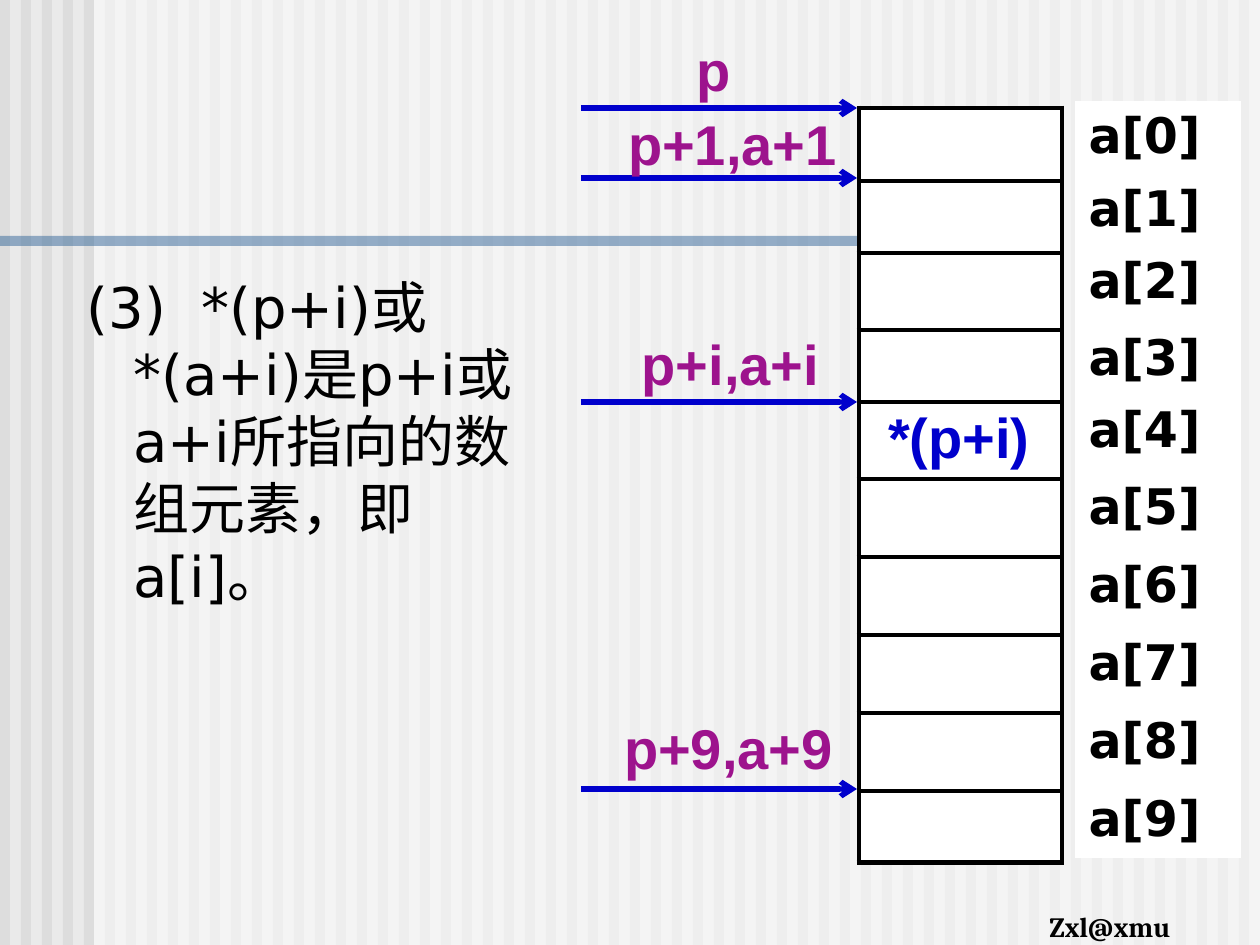
from dataclasses import dataclass
from itertools import accumulate

from lxml import etree
from pptx import Presentation
from pptx import util as u
from pptx.dml import color
from pptx.enum import shapes, text
from pptx.oxml import ns

PX = 914400 / 126  # EMU per px
WIDTH, HEIGHT = 1260, 945


@dataclass(frozen=True)
class Theme:
    paper: str = "EAEAEA"
    stripe: str = "DDDDDD"
    white: str = "FFFFFF"
    band: str = "336699"
    ink: str = "000000"
    pointer: str = "9D138D"
    accent: str = "0000CC"
    body_font: str = "DejaVu Sans"
    label_font: str = "Arial"
    footer_font: str = "Cambria"
    body_size: int = 32
    cell_size: int = 28
    footer_size: int = 16
    line: int = 3


THEME = Theme()
ROW_HEIGHTS = [73, 72, 77, 72, 77, 78, 78, 78, 78, 72]
ARRAY_TOP = 108


def px(*lengths):
    return [u.Emu(round(length * PX)) for length in lengths]


def rgb(code):
    return color.RGBColor.from_string(code)


def child(parent, tag, **attributes):
    return etree.SubElement(parent, ns.qn(tag), **attributes)


def write(frame, wording, *, font=THEME.label_font, size=THEME.body_size,
          ink=THEME.ink, bold=True, align=text.PP_ALIGN.LEFT):
    """Fill the first paragraph of a text frame with one formatted run."""
    para = frame.paragraphs[0]
    para.alignment = align
    span = para.add_run()
    span.text = wording
    span.font.name, span.font.size, span.font.bold = font, u.Pt(size), bold
    span.font.color.rgb = rgb(ink)
    child(span.font._element, "a:ea", typeface=font)
    return para


def add_block(page, place, fill, opacity=100):
    block = page.shapes.add_shape(shapes.MSO_SHAPE.RECTANGLE, *px(*place))
    block.shadow.inherit = False
    block.line.fill.background()
    block.fill.solid()
    block.fill.fore_color.rgb = rgb(fill)
    if opacity < 100:
        tint = block._element.spPr.find(".//" + ns.qn("a:srgbClr"))
        child(tint, "a:alpha", val=str(opacity * 1000))


def add_label(page, place, wording, wrap=True, **style):
    box = page.shapes.add_textbox(*px(*place))
    box.text_frame.word_wrap = wrap
    write(box.text_frame, wording, **style)


def add_arrow(page, left, right, y):
    arrow = page.shapes.add_connector(
        shapes.MSO_CONNECTOR.STRAIGHT, *px(left, y, right, y))
    arrow.line.width = u.Pt(THEME.line)
    arrow.line.color.rgb = rgb(THEME.accent)
    child(arrow.line._get_or_add_ln(), "a:tailEnd", type="arrow")
    child(arrow._element.spPr, "a:effectLst")


def add_borders(cell):
    properties = cell._tc.get_or_add_tcPr()
    for side in "LRTB":
        edge = child(properties, f"a:ln{side}", w=str(u.Pt(THEME.line)))
        child(child(edge, "a:solidFill"), "a:srgbClr", val=THEME.ink)


def add_column(page, left, top, width, wordings=None, bordered=False):
    """Add a one-column table with the shared row heights."""
    place = px(left, top, width, sum(ROW_HEIGHTS))
    table = page.shapes.add_table(len(ROW_HEIGHTS), 1, *place).table
    table.first_row = table.horz_banding = False
    for index, height in enumerate(ROW_HEIGHTS):
        table.rows[index].height = px(height)[0]
        cell = table.cell(index, 0)
        if bordered:
            add_borders(cell)
        cell.fill.solid()
        cell.fill.fore_color.rgb = rgb(THEME.white)
        if wordings:
            write(cell.text_frame, wordings[index],
                  font=THEME.body_font, size=THEME.cell_size)


def fill_body(page, place, wording):
    box = page.placeholders[1]
    box.left, box.top, box.width, box.height = px(*place)
    frame = box.text_frame
    frame.auto_size = text.MSO_AUTO_SIZE.NONE
    properties = frame.paragraphs[0]._p.get_or_add_pPr()
    indent = px(47)[0]
    properties.set("marL", str(indent))
    properties.set("indent", str(-indent))
    child(properties, "a:buNone")
    para = write(frame, wording, font=THEME.body_font, bold=False)
    para.space_before = u.Pt(0)


def add_backdrop(page):
    page.background.fill.solid()
    page.background.fill.fore_color.rgb = rgb(THEME.paper)
    for left in range(0, WIDTH, 21):
        add_block(page, (left, 0, 10, HEIGHT), THEME.stripe)
    add_block(page, (94, 0, WIDTH - 94, HEIGHT), THEME.white, opacity=50)
    add_block(page, (0, 236, 958, 10), THEME.band, opacity=50)
    add_label(page, (1037, 903, 163, 47), "Zxl@xmu", wrap=False,
              font=THEME.footer_font, size=THEME.footer_size)


def main():
    deck = Presentation()
    deck.slide_width, deck.slide_height = px(WIDTH, HEIGHT)
    page = deck.slides.add_slide(deck.slide_layouts[1])
    title = page.shapes.title._element
    title.getparent().remove(title)

    # Striped background, band and footer
    add_backdrop(page)

    # Explanation, brought in front of the backdrop
    fill_body(page, (74, 266, 457, 679),
              "(3)  *(p+i)或*(a+i)是p+i或a+i所指向的数组元素，即a[i]。")
    body = page.placeholders[1]._element
    body.getparent().append(body)

    # Array cells with their index names
    names = [f"a[{index}]" for index in range(len(ROW_HEIGHTS))]
    add_column(page, 1076, ARRAY_TOP - 6, 164, names)
    add_column(page, 859, ARRAY_TOP, 203, bordered=True)

    # Pointers: label place and arrow height
    pointers = [
        ("p", (679, 29, 69), 108),
        ("p+1,a+1", (614, 103, 237), 178),
        ("p+i,a+i", (612, 323, 237), 402),
        ("p+9,a+9", (610, 707, 237), 789),
    ]
    for _, _, y in pointers:
        add_arrow(page, 581, 857, y)
    for wording, place, _ in pointers:
        add_label(page, (*place, 81), wording, ink=THEME.pointer,
                  align=text.PP_ALIGN.CENTER)

    # Value inside the fifth cell
    cell_tops = list(accumulate(ROW_HEIGHTS, initial=ARRAY_TOP))
    add_label(page, (875, cell_tops[4] - 6, 168, 81), "*(p+i)",
              ink=THEME.accent, align=text.PP_ALIGN.CENTER)

    deck.save("out.pptx")


if __name__ == "__main__":
    main()
